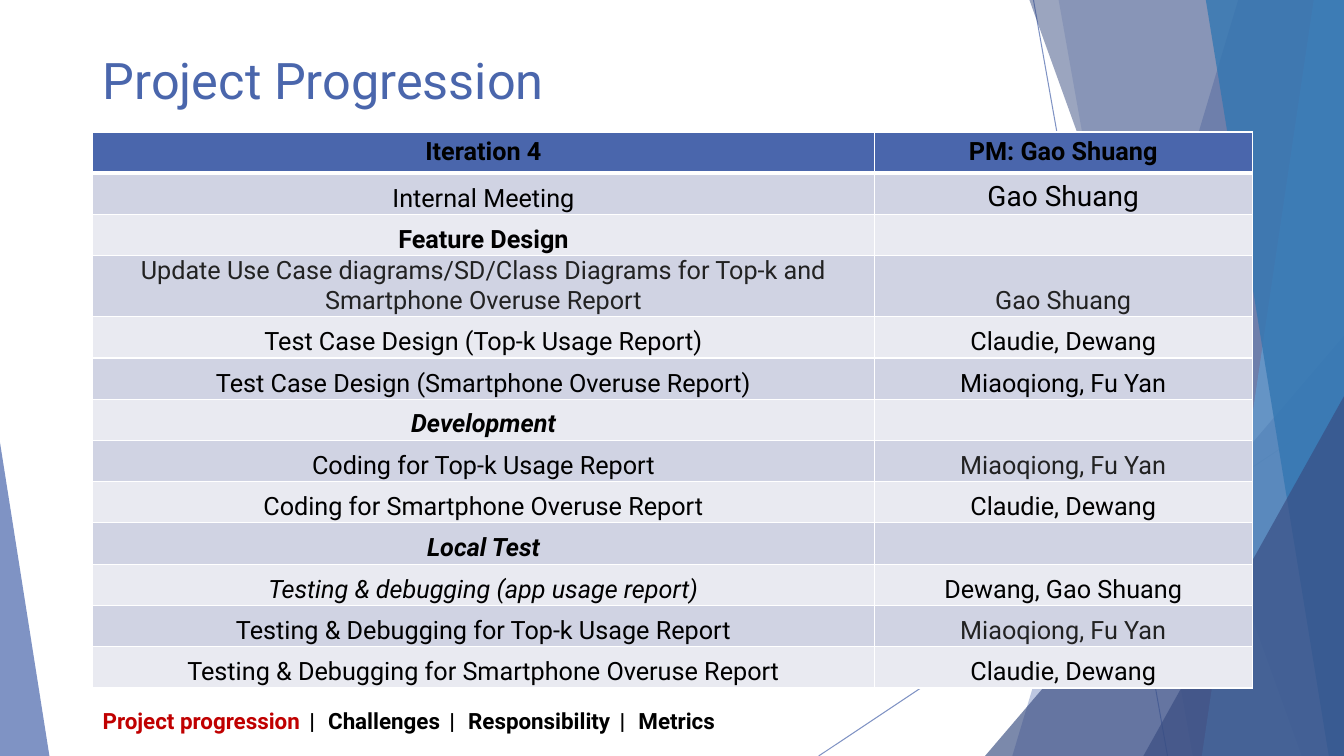
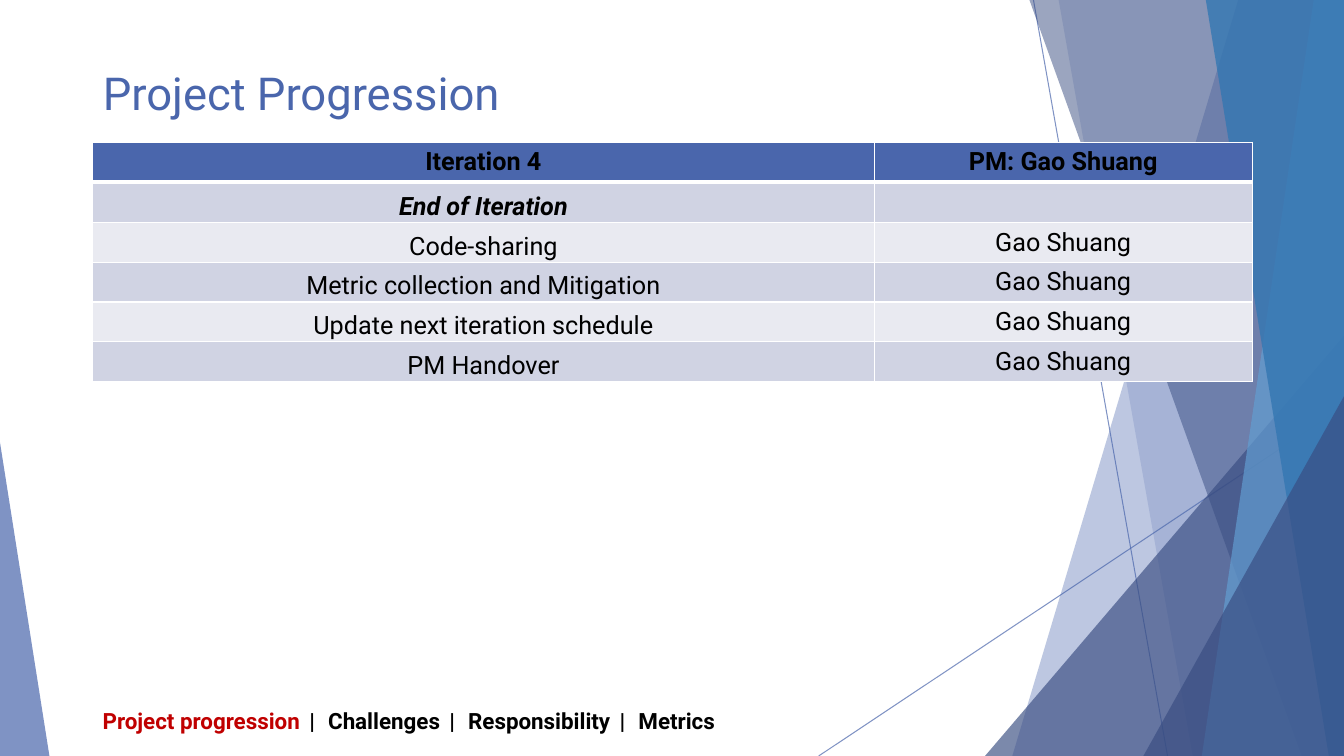
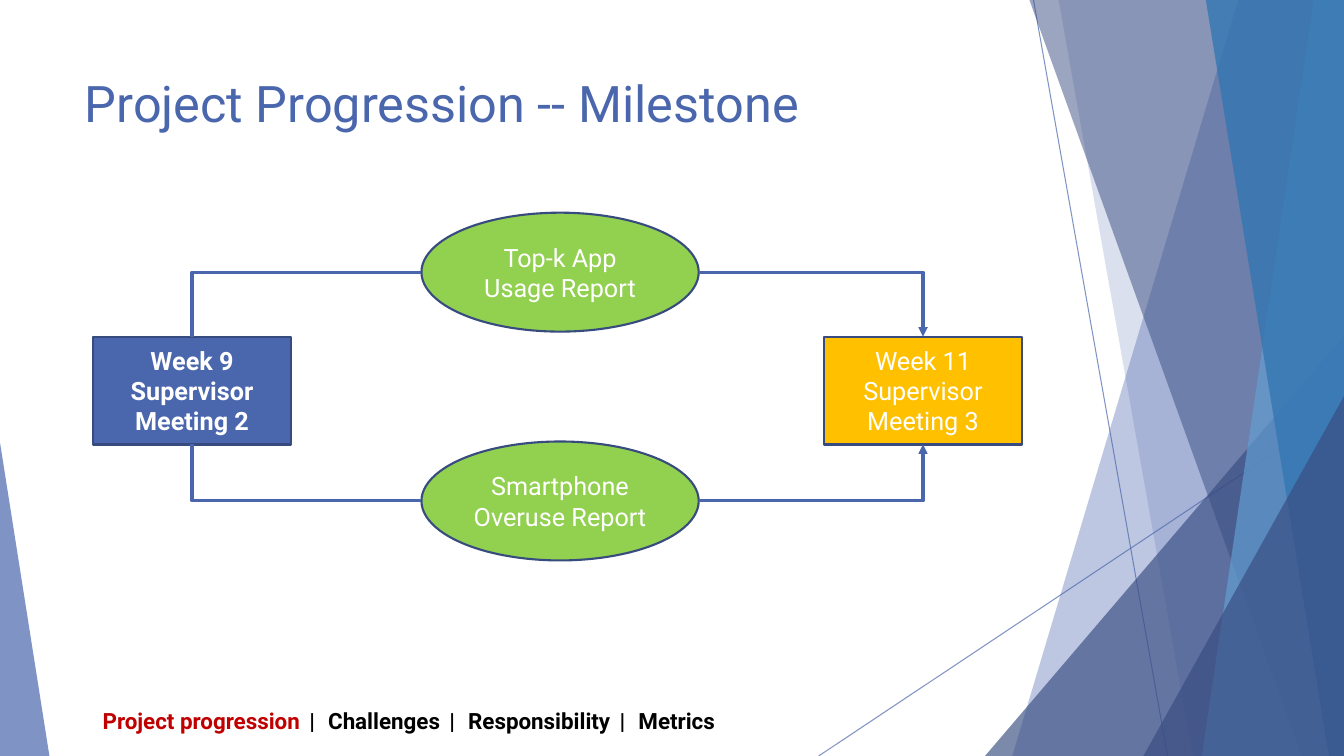
from dataclasses import dataclass
from typing import NamedTuple

from lxml.etree import SubElement
from pptx import Presentation
from pptx.dml.color import RGBColor
from pptx.enum.shapes import MSO_CONNECTOR, MSO_SHAPE
from pptx.enum.text import MSO_ANCHOR, MSO_AUTO_SIZE, PP_ALIGN
from pptx.oxml.ns import qn
from pptx.util import Pt

PX = 9144  # EMU in one px, 100 px to the inch
SLIDE_W, SLIDE_H = 1333, 750
FONT = "Roboto"
TITLE_ONLY = 5

BLUE = RGBColor(0x4A, 0x66, 0xAC)
NAVY = RGBColor(0x38, 0x4C, 0x81)
SKY = RGBColor(0x62, 0x9D, 0xD1)
OCEAN = RGBColor(0x34, 0x77, 0xB2)
OUTLINE = RGBColor(0x37, 0x4B, 0x7F)
GREEN = RGBColor(0x92, 0xD0, 0x50)
AMBER = RGBColor(0xFF, 0xC0, 0x00)
RED = RGBColor(0xC0, 0x00, 0x00)
BLACK = RGBColor(0x00, 0x00, 0x00)
CHARCOAL = RGBColor(0x22, 0x22, 0x22)
WHITE = RGBColor(0xFF, 0xFF, 0xFF)
ROW_DARK = RGBColor(0xD0, 0xD3, 0xE3)
ROW_LIGHT = RGBColor(0xE9, 0xEA, 0xF1)

TOP, LEFT, BOTTOM, RIGHT = range(4)
SECTIONS = ["Project progression", "Challenges", "Responsibility", "Metrics"]
FOOTER_GAP = 270  # letter spacing around the bars, in hundredths of a point


class Box(NamedTuple):
    left: int
    top: int
    width: int
    height: int

    def emu(self):
        return [length * PX for length in self]

    def inner(self, left, top, width, height):
        return Box(self.left + left, self.top + top, width, height)


@dataclass
class Entry:
    text: str
    bold: bool = False
    italic: bool = False
    size: int = 18
    color: RGBColor = BLACK


def section(text, italic=True):
    return Entry(text, bold=True, italic=italic), None


def task(text, owner):
    return Entry(text), Entry(owner)


HEADER = Entry("Iteration 4", bold=True), Entry("PM: Gao Shuang", bold=True)

ITERATION_TASKS = [
    HEADER,
    (Entry("Internal Meeting"), Entry("Gao Shuang", size=20)),
    section("Feature Design", italic=False),
    (Entry("Update Use Case diagrams/SD/Class Diagrams for Top-k and "
           "Smartphone Overuse Report", color=CHARCOAL),
     Entry("Gao Shuang", color=CHARCOAL)),
    task("Test Case Design (Top-k Usage Report)", "Claudie, Dewang"),
    task("Test Case Design (Smartphone Overuse Report)", "Miaoqiong, Fu Yan"),
    section("Development"),
    (Entry("Coding for Top-k Usage Report"),
     Entry("Miaoqiong, Fu Yan", color=CHARCOAL)),
    task("Coding for Smartphone Overuse Report", "Claudie, Dewang"),
    section("Local Test"),
    (Entry("Testing & debugging (app usage report)", italic=True),
     Entry("Dewang, Gao Shuang")),
    (Entry("Testing & Debugging for Top-k Usage Report"),
     Entry("Miaoqiong, Fu Yan", color=CHARCOAL)),
    task("Testing & Debugging for Smartphone Overuse Report", "Claudie, Dewang"),
]

CLOSING_TASKS = [
    HEADER,
    section("End of Iteration"),
    task("Code-sharing", "Gao Shuang"),
    task("Metric collection and Mitigation", "Gao Shuang"),
    task("Update next iteration schedule", "Gao Shuang"),
    task("PM Handover", "Gao Shuang"),
]


def set_font(font, size, color, bold=False, italic=False):
    font.name = FONT
    font.size = Pt(size)
    font.color.rgb = color
    font.bold = bold
    font.italic = italic


def set_opacity(shape, percent):
    for color in shape.element.iter(qn("a:srgbClr")):
        SubElement(color, qn("a:alpha"), val=str(percent * 1000))


def fill_plain(shape, color, opacity):
    shape.shadow.inherit = False
    shape.fill.solid()
    shape.fill.fore_color.rgb = color
    shape.line.fill.background()
    set_opacity(shape, opacity)


def style_connector(connector, width):
    connector.line.color.rgb = BLUE
    connector.line.width = Pt(width)
    SubElement(connector.element.spPr, qn("a:effectLst"))


def add_ray(shapes, *ends):
    ray = shapes.add_connector(MSO_CONNECTOR.STRAIGHT, *[end * PX for end in ends])
    style_connector(ray, 0.75)
    set_opacity(ray, 70)


def add_band(shapes, top_x, bottom_x, color, opacity):
    """Full-height band from a slanted left edge to the right slide edge."""
    outline = shapes.build_freeform(top_x, 0, scale=PX)
    outline.add_line_segments([(SLIDE_W, 0), (SLIDE_W, SLIDE_H), (bottom_x, SLIDE_H)])
    fill_plain(outline.convert_to_shape(), color, opacity)


def add_corner(shapes, box, apex, color, opacity):
    """Triangle whose apex sits at the given share of its width."""
    corner = shapes.add_shape(MSO_SHAPE.ISOSCELES_TRIANGLE, *box.emu())
    corner.adjustments[0] = apex
    fill_plain(corner, color, opacity)


def add_facets(slide, layout):
    """Draw the facets as one group and hand it to the layout."""
    group = slide.shapes.add_group_shape()
    shapes = group.shapes
    add_ray(shapes, 1025, 0, 1158, SLIDE_H)
    add_ray(shapes, SLIDE_W, 403, 812, SLIDE_H)
    add_band(shapes, 1228, 1004, BLUE, 36)
    add_band(shapes, 1050, 1183, BLUE, 20)
    add_corner(shapes, Box(977, 333, 356, 417), 1, NAVY, 66)
    add_band(shapes, 1021, 1291, NAVY, 50)
    add_band(shapes, 1303, 1192, SKY, 70)
    add_band(shapes, 1196, 1318, OCEAN, 80)
    add_corner(shapes, Box(1134, 393, 199, 357), 1, NAVY, 66)
    add_corner(shapes, Box(0, 439, 49, 311), 0, BLUE, 70)
    for number, props in enumerate(group.element.iter(qn("p:cNvPr")), 100):
        props.set("id", str(number))
    layout.shapes.element.append(group.element)


def add_title(slide, box, text, size):
    title = slide.shapes.title
    title.left, title.top, title.width, title.height = box.emu()
    frame = title.text_frame
    frame.text = text
    frame.word_wrap = True
    frame.auto_size = MSO_AUTO_SIZE.NONE
    frame.vertical_anchor = MSO_ANCHOR.TOP
    heading = frame.paragraphs[0]
    heading.alignment = PP_ALIGN.LEFT
    set_font(heading.font, size, BLUE)


def add_footer(slide, box, current):
    frame = slide.shapes.add_textbox(*box.emu()).text_frame
    frame.word_wrap = True
    frame.vertical_anchor = MSO_ANCHOR.MIDDLE
    trail = frame.paragraphs[0]
    for index, name in enumerate(SECTIONS):
        if index:
            bar = trail.add_run()
            bar.text = " | "
            set_font(bar.font, 16, BLACK, bold=True)
            bar.font._element.set("spc", str(FOOTER_GAP))
        label = trail.add_run()
        label.text = name
        set_font(label.font, 16, RED if name == current else BLACK, bold=True)


def set_borders(cell, **widths):
    """White borders of 1 pt, unless another width is given for a side."""
    props = cell._tc.get_or_add_tcPr()
    for side in "LRTB":
        width = Pt(widths.get(side, 1))
        border = SubElement(props, qn(f"a:ln{side}"), w=str(width))
        fill = SubElement(border, qn("a:solidFill"))
        SubElement(fill, qn("a:srgbClr"), val=str(WHITE))


def fill_cell(cell, entry, color, tight):
    cell.fill.solid()
    cell.fill.fore_color.rgb = color
    if entry is None:
        return
    if tight:
        cell.vertical_anchor = MSO_ANCHOR.BOTTOM
        cell.margin_left = cell.margin_right = 2 * PX
        cell.margin_top = cell.margin_bottom = PX
    cell.text = entry.text
    words = cell.text_frame.paragraphs[0]
    words.alignment = PP_ALIGN.CENTER
    set_font(words.font, entry.size, entry.color, entry.bold, entry.italic)


def add_schedule(slide, box, rows, row_heights, tight_columns):
    table = slide.shapes.add_table(len(rows), 2, *box.emu()).table
    owner_width = 375
    table.columns[0].width = (box.width - owner_width) * PX
    table.columns[1].width = owner_width * PX
    for r, (entries, height) in enumerate(zip(rows, row_heights)):
        table.rows[r].height = height * PX
        color = BLUE if r == 0 else (ROW_LIGHT, ROW_DARK)[r % 2]
        for c, entry in enumerate(entries):
            cell = table.cell(r, c)
            set_borders(cell, T=3 if r == 1 else 1, B=3 if r == 0 else 1)
            fill_cell(cell, entry, color, r > 0 and c in tight_columns)


def add_node(slide, kind, box, lines, color, bold=False):
    node = slide.shapes.add_shape(kind, *box.emu())
    node.shadow.inherit = False
    node.fill.solid()
    node.fill.fore_color.rgb = color
    node.line.color.rgb = OUTLINE
    node.line.width = Pt(1.5)
    frame = node.text_frame
    frame.word_wrap = True
    frame.vertical_anchor = MSO_ANCHOR.MIDDLE
    frame.text = "\n".join(lines)
    for line in frame.paragraphs:
        line.alignment = PP_ALIGN.CENTER
        set_font(line.font, 18, WHITE, bold)
    return node


def link(slide, report, report_side, meeting, meeting_side, arrow):
    """One-corner connector from an ellipse to a rectangle."""
    elbow = slide.shapes.add_connector(MSO_CONNECTOR.ELBOW, 0, 0, 0, 0)
    elbow.begin_connect(report, report_side)
    elbow.end_connect(meeting, meeting_side)
    # An ellipse has eight connection sites, two for each side of a rectangle.
    next(elbow.element.iter(qn("a:stCxn"))).set("idx", str(report_side * 2))
    next(elbow.element.iter(qn("a:prstGeom"))).set("prst", "bentConnector2")
    style_connector(elbow, 2.25)
    if arrow:
        SubElement(next(elbow.element.iter(qn("a:ln"))), qn("a:tailEnd"), type="triangle")


def add_milestones(slide, box):
    meeting_w, meeting_h, meeting_top = 197, 107, 123
    report_w, report_h, report_left = 275, 118, 326
    start = add_node(slide, MSO_SHAPE.RECTANGLE,
                     box.inner(0, meeting_top, meeting_w, meeting_h),
                     ["Week 9", "Supervisor Meeting 2"], BLUE, bold=True)
    finish = add_node(slide, MSO_SHAPE.RECTANGLE,
                      box.inner(box.width - meeting_w, meeting_top, meeting_w, meeting_h),
                      ["Week 11", "Supervisor Meeting 3"], AMBER)
    for name, top, side in (
        ("Top-k App Usage Report", 0, TOP),
        ("Smartphone Overuse Report", box.height - report_h, BOTTOM),
    ):
        report = add_node(slide, MSO_SHAPE.OVAL,
                          box.inner(report_left, top, report_w, report_h), [name], GREEN)
        link(slide, report, LEFT, start, side, arrow=False)
        link(slide, report, RIGHT, finish, side, arrow=True)


def main():
    deck = Presentation()
    deck.slide_width, deck.slide_height = SLIDE_W * PX, SLIDE_H * PX
    layout = deck.slide_layouts[TITLE_ONLY]
    slides = [deck.slides.add_slide(layout) for _ in range(3)]
    iteration, closing, milestone = slides
    add_facets(iteration, layout)

    add_title(iteration, Box(92, 44, 1150, 71), "Project Progression", 36)
    heights = [41, 41, 36, 41, 41, 41, 34] + [41] * 6
    add_schedule(iteration, Box(92, 131, 1150, 548), ITERATION_TASKS, heights, (0, 1))

    add_title(closing, Box(92, 60, 1150, 64), "Project Progression", 32.4)
    add_schedule(closing, Box(92, 141, 1150, 240), CLOSING_TASKS, [39] * 6, (0,))

    add_title(milestone, Box(74, 67, 940, 144), "Project Progression -- Milestone", 36)
    add_milestones(milestone, Box(92, 211, 922, 345))

    for slide in slides:
        add_footer(slide, Box(92, 695, 1150, 40), SECTIONS[0])
    deck.save("out.pptx")


if __name__ == "__main__":
    main()
